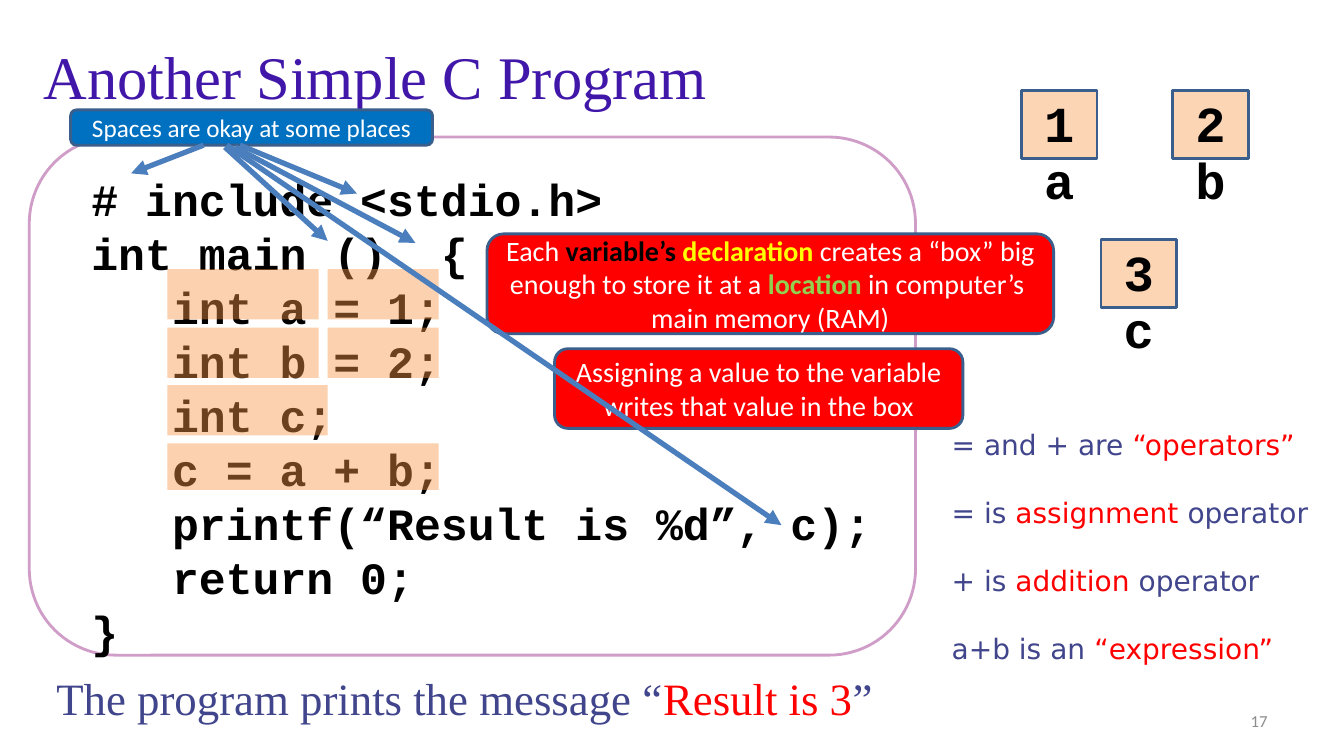
from pptx import Presentation
from pptx.util import Inches, Pt
from pptx.dml.color import RGBColor
from pptx.enum.shapes import MSO_SHAPE as Geo, MSO_CONNECTOR as Link
from pptx.enum.text import PP_ALIGN as Align, MSO_ANCHOR as Anchor
from pptx.oxml.ns import qn
from lxml.etree import SubElement as sub

WHITE = RGBColor(0xFF, 0xFF, 0xFF)
BLACK = RGBColor(0, 0, 0)
RED = RGBColor(0xFF, 0, 0)
YELLOW = RGBColor(0xFF, 0xFF, 0)
GREEN = RGBColor(0x92, 0xD0, 0x50)
BLUE = RGBColor(0, 0x70, 0xC0)
NAVY = RGBColor(0x40, 0x45, 0x8C)
PURPLE = RGBColor(0x41, 0x17, 0xA9)
MAUVE = RGBColor(0xCF, 0x9D, 0xC7)
PEACH = RGBColor(0xFC, 0xD5, 0xB5)
ORANGE = RGBColor(0xF7, 0x96, 0x46)
EDGE = RGBColor(0x3A, 0x5F, 0x8C)
STEEL = RGBColor(0x4B, 0x7E, 0xBC)
GRAY = RGBColor(0x8C, 0x8C, 0x8C)

SERIF, SANS, MONO, WIDE = "Times New Roman", "Calibri", "Courier New", "DejaVu Sans"

TITLE = [[("Another Simple C Program", PURPLE)]]
CODE = [
    " # include <stdio.h>",
    " int main ()  {",
    "    int a = 1;",
    "    int b = 2;",
    "    int c;",
    "    c = a + b;",
    "    printf(“Result is %d”, c);",
    "    return 0;",
    " }",
]
RESULT = [[("The program prints the message “", NAVY), ("Result is 3", RED), ("”", NAVY)]]
CELLS = [("1", "a", 10.13, 0.9), ("2", "b", 11.63, 0.9), ("3", "c", 10.92, 2.38)]
MARKS = [
    (1.66, 2.67, 1.5, 0.5),
    (3.25, 2.67, 1.1, 0.5),
    (1.66, 3.25, 1.5, 0.5),
    (3.25, 3.25, 1.1, 0.5),
    (1.66, 3.82, 1.59, 0.5),
    (1.66, 4.4, 2.69, 0.46),
]
TERMS = [
    [("= and + are ", NAVY), ("“operators”", RED)],
    [("= is ", NAVY), ("assignment", RED), (" operator", NAVY)],
    [("+ is ", NAVY), ("addition", RED), (" operator", NAVY)],
    [("a+b is an ", NAVY), ("“expression”", RED)],
]
DECLARE = [
    [
        ("Each ", WHITE), ("variable’s ", BLACK, True), ("declaration", YELLOW, True),
        (" creates a “box” big enough to store it at a ", WHITE),
        ("location", GREEN, True), (" in computer’s ", WHITE),
    ],
    [("main memory (RAM)", WHITE)],
]
ASSIGN = [[("Assigning a value to the variable writes that value in the box", WHITE)]]
SPACES = [[("Spaces are okay at some places", WHITE)]]
NOTES = [
    (DECLARE, 20, RED, (4.83, 2.32, 5.62, 0.99)),
    (ASSIGN, 20, RED, (5.5, 3.46, 4.05, 0.79)),
    (SPACES, 18, BLUE, (0.7, 1.09, 3.59, 0.35)),
]
ARROWS = [
    (2.02, 1.44, 1.3, 1.72),
    (2.38, 1.44, 3.54, 1.92),
    (2.23, 1.46, 3.25, 2.39),
    (2.33, 1.46, 4.12, 2.41),
    (2.25, 1.44, 7.75, 5.21),
]

deck = Presentation()
deck.slide_width, deck.slide_height = Inches(13.33), Inches(7.5)
slide = deck.slides.add_slide(deck.slide_layouts[5])
shapes = slide.shapes


def write(shape, paras, size, face, align=Align.LEFT, anchor=Anchor.MIDDLE, bold=False, gap=0):
    frame = shape.text_frame
    frame.word_wrap = True
    frame.vertical_anchor = anchor
    for i, runs in enumerate(paras):
        para = frame.add_paragraph() if i else frame.paragraphs[0]
        para.alignment = align
        if i and gap:
            para.space_before = Pt(gap)
        for text, color, *heavy in runs:
            run = para.add_run()
            run.text = text
            run.font.size, run.font.name = Pt(size), face
            run.font.bold = bool(heavy) or bold
            run.font.color.rgb = color
    return frame


def label(spot, paras, size, face, **kw):
    return write(shapes.add_textbox(*map(Inches, spot)), paras, size, face, **kw)


def block(geo, spot, fill, line=None):
    shape = shapes.add_shape(geo, *map(Inches, spot))
    shape.shadow.inherit = False
    shape.fill.solid()
    shape.fill.fore_color.rgb = fill
    if line is None:
        shape.line.fill.background()
    else:
        shape.line.color.rgb = line
        shape.line.width = Pt(2)
    return shape


def arrow(x1, y1, x2, y2):
    line = shapes.add_connector(Link.STRAIGHT, *map(Inches, (x1, y1, x2, y2)))
    line.line.color.rgb = STEEL
    line.line.width = Pt(3.75)
    sub(line.line._get_or_add_ln(), qn("a:tailEnd"), type="triangle")
    sub(line._element.spPr, qn("a:effectLst"))


title = shapes.title
title.left, title.top, title.width, title.height = map(Inches, (0.33, 0.33, 12, 0.83))
write(title, TITLE, 43.2, SERIF)

label((9.56, 6.95, 3.11, 0.4), [[("17", GRAY)]], 12, SANS, align=Align.RIGHT)

panel = block(Geo.ROUNDED_RECTANGLE, (0.29, 1.36, 8.79, 5.14), WHITE, MAUVE)
frame = write(panel, [[(line, BLACK)] for line in CODE], 32, MONO, bold=True)
frame.margin_top, frame.margin_bottom = Inches(0.36), 0
for para in frame.paragraphs:
    para.line_spacing = Pt(38.6)

label((0.46, 6.6, 10.42, 0.64), RESULT, 32, SERIF, anchor=Anchor.TOP)

for value, name, x, y in CELLS:
    cell = block(Geo.RECTANGLE, (x, y, 0.75, 0.67), PEACH, EDGE)
    inner = write(cell, [[(value, BLACK)]], 36, MONO, align=Align.CENTER, bold=True)
    inner.margin_top, inner.margin_bottom = 0, Inches(0.04)
    label((x, y + 0.53, 0.75, 0.71), [[(name, BLACK)]], 36, MONO,
          align=Align.CENTER, anchor=Anchor.TOP, bold=True)

for spot in MARKS:
    mark = block(Geo.RECTANGLE, spot, ORANGE)
    tint = mark._element.spPr.find(qn("a:solidFill"))[0]
    sub(tint, qn("a:alpha"), val="43000")

terms = label((9.34, 4.19, 3.76, 2.46), TERMS, 20, WIDE, anchor=Anchor.TOP, gap=24.6)
terms.word_wrap = False

for paras, size, fill, spot in NOTES:
    note = block(Geo.ROUNDED_RECTANGLE, spot, fill, EDGE)
    write(note, paras, size, SANS, align=Align.CENTER)

for ends in ARROWS:
    arrow(*ends)

deck.save("out.pptx")
